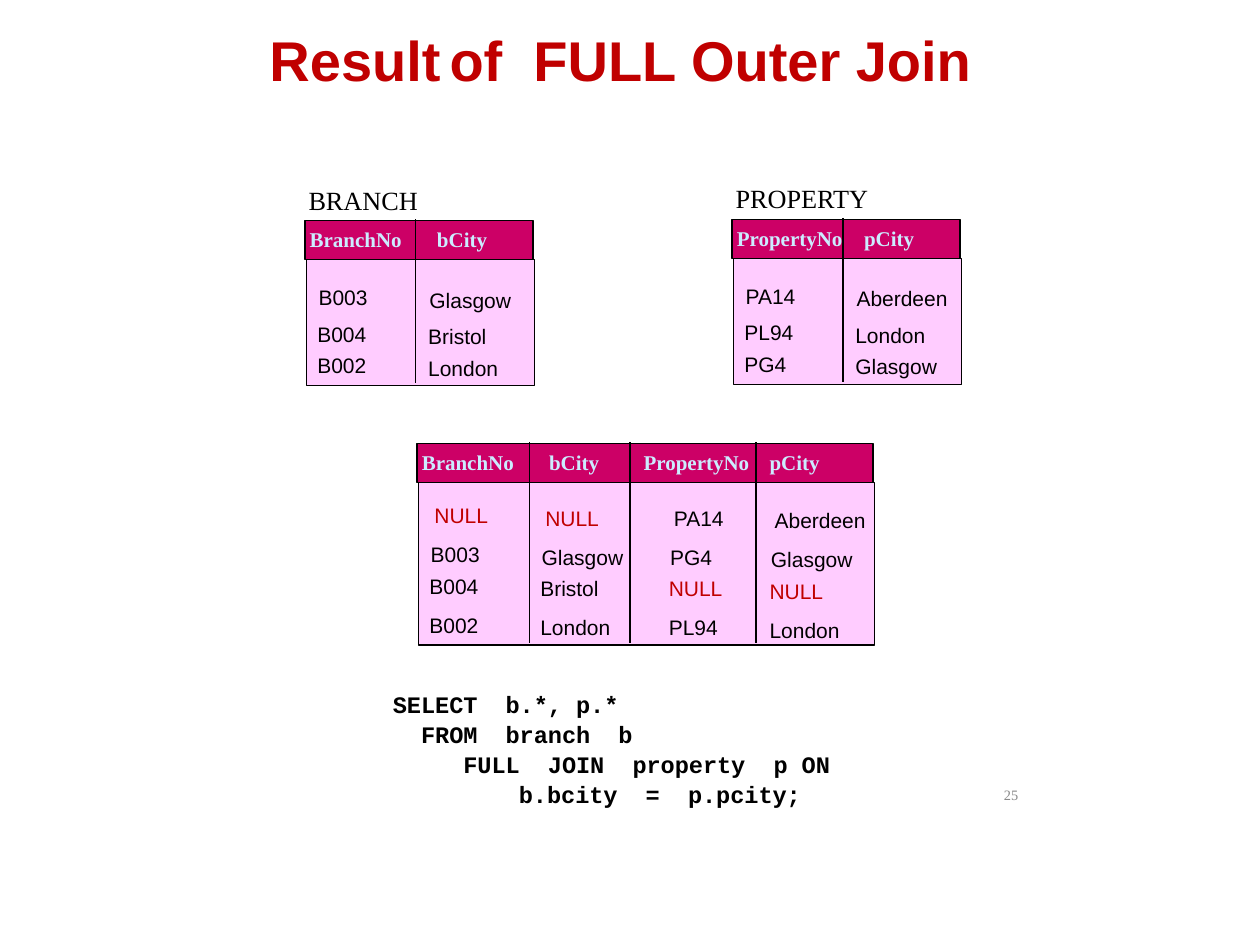
import pptx
import pptx.dml.color
import pptx.enum.shapes
import pptx.enum.text
import pptx.oxml.ns
import pptx.util
import lxml.etree

RGBColor = pptx.dml.color.RGBColor
BLACK = RGBColor(0x00, 0x00, 0x00)
RED = RGBColor(0xC0, 0x00, 0x00)
MAGENTA = RGBColor(0xCC, 0x00, 0x66)
PINK = RGBColor(0xFF, 0xCC, 0xFF)
PALE_BLUE = RGBColor(0xCC, 0xEC, 0xFF)
GREY = RGBColor(0x89, 0x89, 0x89)

SANS, SERIF, MONO = "Arial", "Times New Roman", "Courier New"
COLUMNS, ROWS = 100, 75
HEADER_HEIGHT = 3.1
WORD_WIDTHS = {
    "BranchNo": 9.4, "PropertyNo": 10.5, "bCity": 6, "pCity": 6,
    "Glasgow": 8.5, "Bristol": 6.7, "London": 7.6, "Aberdeen": 9.3,
    "NULL": 6.3, "PG4": 5.4, "PA14": 6,
}
CODE_WIDTH = 5.9


class JoinSlide:
    """Holds the style and the current page, and draws on a grid of columns and rows."""

    def __init__(self, deck):
        self.page = deck.slides.add_slide(deck.slide_layouts[6])
        self.column = deck.slide_width / COLUMNS
        self.row = deck.slide_height / ROWS

    def place(self, x, y):
        return round(x * self.column), round(y * self.row)

    def text(self, words, x, y, width, height, size, font=SANS, color=BLACK,
             bold=False, align=None, before=None):
        box = self.page.shapes.add_textbox(*self.place(x, y), *self.place(width, height))
        frame = box.text_frame
        frame.text = words
        frame.word_wrap = False
        frame.auto_size = pptx.enum.text.MSO_AUTO_SIZE.SHAPE_TO_FIT_TEXT
        for para in frame.paragraphs:
            para.alignment = align
            para.space_before = before
            for span in para.runs:
                self.style(span, size, font, color, bold)
        return frame

    def style(self, span, size, font, color, bold):
        span.font.size = pptx.util.Pt(size)
        span.font.name = font
        span.font.bold = bold
        span.font.color.rgb = color

    def title(self, parts, x, y, width, height):
        para = self.text("", x, y, width, height, 32).paragraphs[0]
        for words, size in parts:
            span = para.add_run()
            span.text = words
            self.style(span, size, SANS, RED, True)

    def panel(self, x, y, width, height, fill):
        shape = self.page.shapes.add_shape(
            pptx.enum.shapes.MSO_SHAPE.RECTANGLE, *self.place(x, y), *self.place(width, height))
        shape.shadow.inherit = False
        shape.fill.solid()
        shape.fill.fore_color.rgb = fill
        self.outline(shape)

    def divider(self, x, top, bottom):
        line = self.page.shapes.add_connector(
            pptx.enum.shapes.MSO_CONNECTOR.STRAIGHT, *self.place(x, top), *self.place(x, bottom))
        self.outline(line)
        properties = line._element.spPr
        lxml.etree.SubElement(properties, pptx.oxml.ns.qn("a:effectLst"))

    def outline(self, shape):
        shape.line.color.rgb = BLACK
        shape.line.width = pptx.util.Pt(0.75)

    def relation(self, x, y, width, height, headers, header_offsets, dividers,
                 cell_offsets, drops, records):
        self.panel(x + 0.1, y + HEADER_HEIGHT, width, height, PINK)
        self.panel(x, y, width, HEADER_HEIGHT, MAGENTA)
        for offset in dividers:
            self.divider(x + offset, y - 0.1, y + HEADER_HEIGHT)
            self.divider(x + offset, y + HEADER_HEIGHT, y + HEADER_HEIGHT + height - 0.2)
        for name, offset in zip(headers, header_offsets):
            self.text(name, x + offset, y, WORD_WIDTHS[name], 3, 12, SERIF, PALE_BLUE, True)
        for indent, top, values in records:
            for value, offset, drop in zip(values, cell_offsets, drops):
                self.text(value, x + offset + indent, y + top + drop,
                          WORD_WIDTHS.get(value, CODE_WIDTH), 3, 12,
                          color=RED if value == "NULL" else BLACK)

    def source_relation(self, name, name_width, x, y, headers, rows):
        tops = [(0.1, 4.6), (0, 7.5), (0, 10)]
        records = [(*top, values) for top, values in zip(tops, rows)]
        self.text(name, x - 0.7, y - 3.4, name_width, 3.5, 15, SERIF)
        self.relation(x, y, 18.1, 10, headers, (-0.6, 9.5), (8.8,), (0, 8.8), (0, 0.2), records)


def main():
    deck = pptx.Presentation()
    deck.slide_width = pptx.util.Inches(10)
    deck.slide_height = pptx.util.Inches(7.5)
    slide = JoinSlide(deck)

    slide.title([("Result", 32), (" ", 18), ("of  FULL Outer Join", 32)], 20.4, 1.5, 58.1, 6.4)
    slide.source_relation("BRANCH", 10.8, 24.2, 17.5, ("BranchNo", "bCity"),
                          [("B003", "Glasgow"), ("B004", "Bristol"), ("B002", "London")])
    slide.source_relation("PROPERTY", 12.7, 58.1, 17.4, ("PropertyNo", "pCity"),
                          [("PA14", "Aberdeen"), ("PL94", "London"), ("PG4", "Glasgow")])
    slide.relation(
        33.1, 35.2, 36.2, 12.9,
        ("BranchNo", "bCity", "PropertyNo", "pCity"), (-0.6, 9.5, 17, 27),
        (8.9, 16.9, 26.9), (0, 8.8, 19, 27), (0, 0.2, 0.2, 0.4),
        [(0.4, 4.2, ("NULL", "NULL", "PA14", "Aberdeen")),
         (0.1, 7.3, ("B003", "Glasgow", "PG4", "Glasgow")),
         (0, 9.8, ("B004", "Bristol", "NULL", "NULL")),
         (0, 12.9, ("B002", "London", "PL94", "London"))])
    query = ("SELECT  b.*, p.*", "  FROM  branch  b",
             "     FULL  JOIN  property  p ON", "\t\tb.bcity  =  p.pcity;")
    slide.text("\n".join(query), 30.2, 54.3, 45, 12.4, 13.5, MONO, bold=True,
               before=pptx.util.Pt(0.9))
    number = slide.text("25", 66.2, 61.9, 15.6, 3.8, 8.2, SERIF, GREY,
                        align=pptx.enum.text.PP_ALIGN.RIGHT)
    number.word_wrap = True
    deck.save("out.pptx")


if __name__ == "__main__":
    main()
